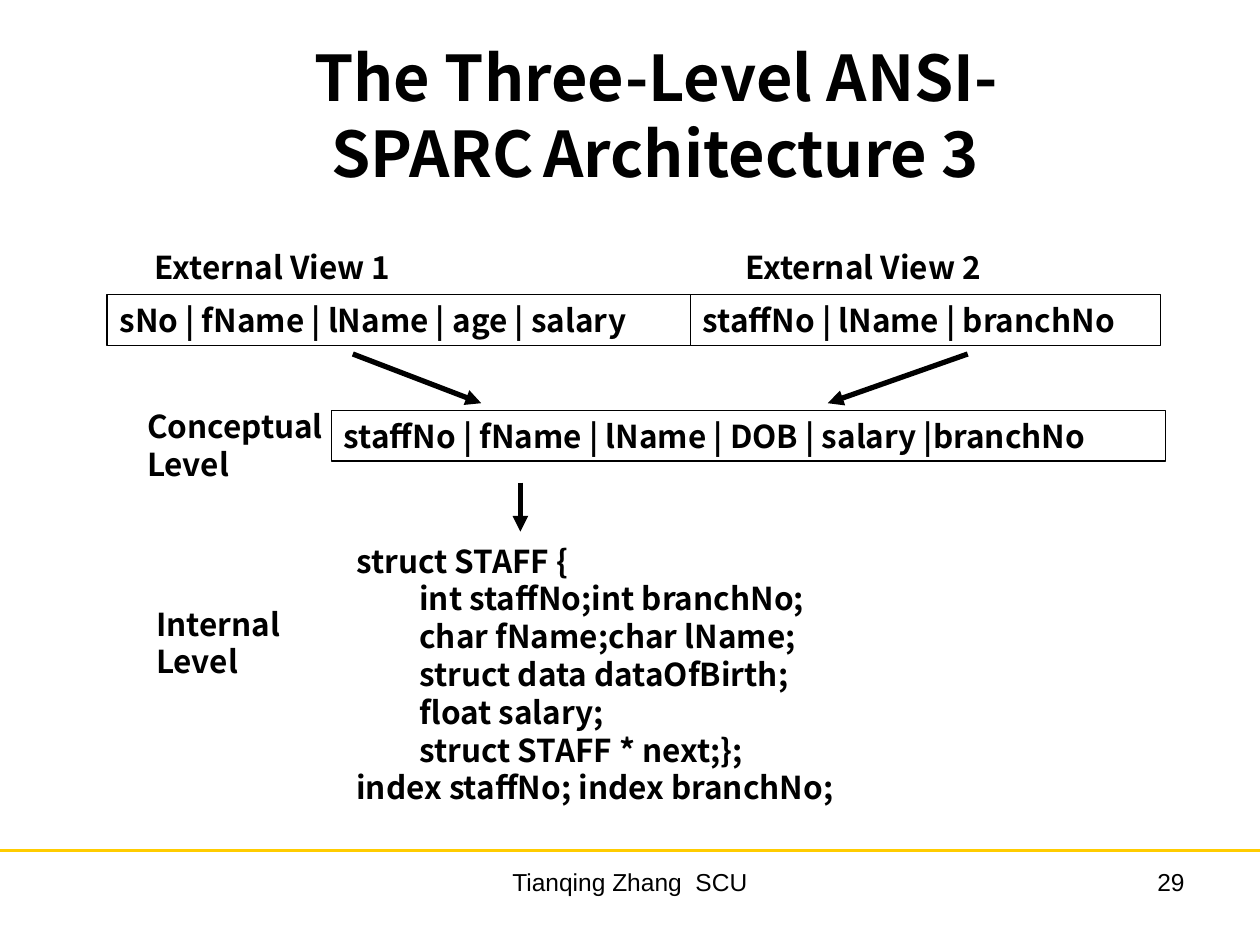
from lxml import etree
from pptx import Presentation
from pptx import util as u
from pptx.dml.color import RGBColor
from pptx.enum import shapes, text
from pptx.oxml.ns import qn

Pt = u.Pt
BODY_FONT, FOOTER_FONT = "Noto Sans CJK SC", "Arial"
BLACK, WHITE, GOLD = "000000", "FFFFFF", "FFCC00"
LEFT, CENTER, RIGHT = text.PP_ALIGN.LEFT, text.PP_ALIGN.CENTER, text.PP_ALIGN.RIGHT
LINE_HEIGHT = 1.2
ROW_HEIGHT = 28.8
VIEW_LABEL_TOP, VIEW_TOP = 138.2, 168.5

# Each run: wording, size
TITLE = [("The Three-Level ANSI-SPARC", 36), (" ", 24), ("Architecture 3", 36)]

# Wording, left, top, width
RECORDS = [
    ("sNo | fName | lName | age | salary", 61.2, VIEW_TOP, 333.4),
    ("staffNo | lName | branchNo", 394.6, VIEW_TOP, 268.5),
    ("staffNo | fName | lName | DOB | salary |branchNo", 189.4, 234.7, 476.6),
]
LABELS = [
    (["External View 1"], 81.4, VIEW_LABEL_TOP, 152.6),
    (["External View 2"], 419, VIEW_LABEL_TOP, 152.6),
    (["Conceptual", "Level"], 77, 229, 115.9),
    (["Internal", "Level"], 82.1, 342, 87.8),
]
STRUCT_CODE = [
    "struct STAFF {",
    "\tint staffNo;int branchNo;",
    "\tchar fName;char lName;",
    "\tstruct data dataOfBirth;",
    "\tfloat salary;",
    "\tstruct STAFF * next;};",
    "index staffNo; index branchNo;",
]
# Start x, y, end x, y
MAPPINGS = [
    (201.6, 202.3, 275, 230.4),
    (553, 202.3, 473, 230.4),
    (297.4, 275.8, 297.4, 303.8),
]
# Wording, left, width, alignment
FOOTERS = [("Tianqing Zhang  SCU", 246, 228, CENTER), ("29", 516, 168, RIGHT)]


def color(code):
    return RGBColor.from_string(code)


def add_words(shape, paragraphs, size=18, font=BODY_FONT, bold=True, align=LEFT,
              wrap=True, anchor=text.MSO_ANCHOR.TOP, line_height=LINE_HEIGHT):
    """Fill a shape; a paragraph is a string or a list of (wording, size)."""
    frame = shape.text_frame
    frame.word_wrap = wrap
    frame.vertical_anchor = anchor
    for index, runs in enumerate(paragraphs):
        paragraph = frame.add_paragraph() if index else frame.paragraphs[0]
        paragraph.alignment = align
        if isinstance(runs, str):
            runs = [(runs, size)]
        if line_height:
            paragraph.line_spacing = Pt(round(line_height * runs[0][1], 1))
        for wording, run_size in runs:
            run = paragraph.add_run()
            run.text = wording
            run.font.name = font
            run.font.size = Pt(run_size)
            run.font.bold = bold
            run.font.color.rgb = color(BLACK)


def add_text(slide, paragraphs, left, top, width, height, **format):
    box = slide.shapes.add_textbox(Pt(left), Pt(top), Pt(width), Pt(height))
    add_words(box, paragraphs, **format)


def add_box(slide, paragraphs, left, top, width, height, outline=None):
    box = slide.shapes.add_shape(shapes.MSO_SHAPE.RECTANGLE,
                                 Pt(left), Pt(top), Pt(width), Pt(height))
    box.shadow.inherit = False
    box.fill.solid()
    box.fill.fore_color.rgb = color(WHITE)
    if outline:
        box.line.color.rgb = color(outline)
        box.line.width = Pt(0.75)
    else:
        box.line.fill.background()
    add_words(box, paragraphs)


def add_line(slide, ends, stroke, width, arrow=False):
    line = slide.shapes.add_connector(shapes.MSO_CONNECTOR.STRAIGHT,
                                      *[Pt(value) for value in ends])
    line.line.color.rgb = color(stroke)
    line.line.width = Pt(width)
    if arrow:
        etree.SubElement(line.line._get_or_add_ln(), qn("a:tailEnd"), type="triangle")
    etree.SubElement(line._element.spPr, qn("a:effectLst"))


def main():
    deck = Presentation()
    deck.slide_width, deck.slide_height = Pt(720), Pt(540)
    slide = deck.slides.add_slide(deck.slide_layouts[6])

    add_line(slide, (0, 486, 720, 486), GOLD, 2.25)
    for wording, left, width, align in FOOTERS:
        add_text(slide, [wording], left, 491.8, width, 37.4, size=14,
                 font=FOOTER_FONT, bold=False, align=align, line_height=None)
    add_text(slide, [TITLE], 121.7, 20.2, 505.4, 90, align=CENTER,
             anchor=text.MSO_ANCHOR.MIDDLE)
    add_box(slide, STRUCT_CODE, 196.6, 306, 312.5, 158.4)
    for lines, left, top, width in LABELS:
        height = 7.2 + len(lines) * 18 * LINE_HEIGHT
        add_text(slide, lines, left, top, width, height, wrap=False)
    for fields, left, top, width in RECORDS:
        add_box(slide, [fields], left, top, width, ROW_HEIGHT, outline=BLACK)
    for ends in MAPPINGS:
        add_line(slide, ends, BLACK, 3, arrow=True)

    deck.save("out.pptx")


if __name__ == "__main__":
    main()
